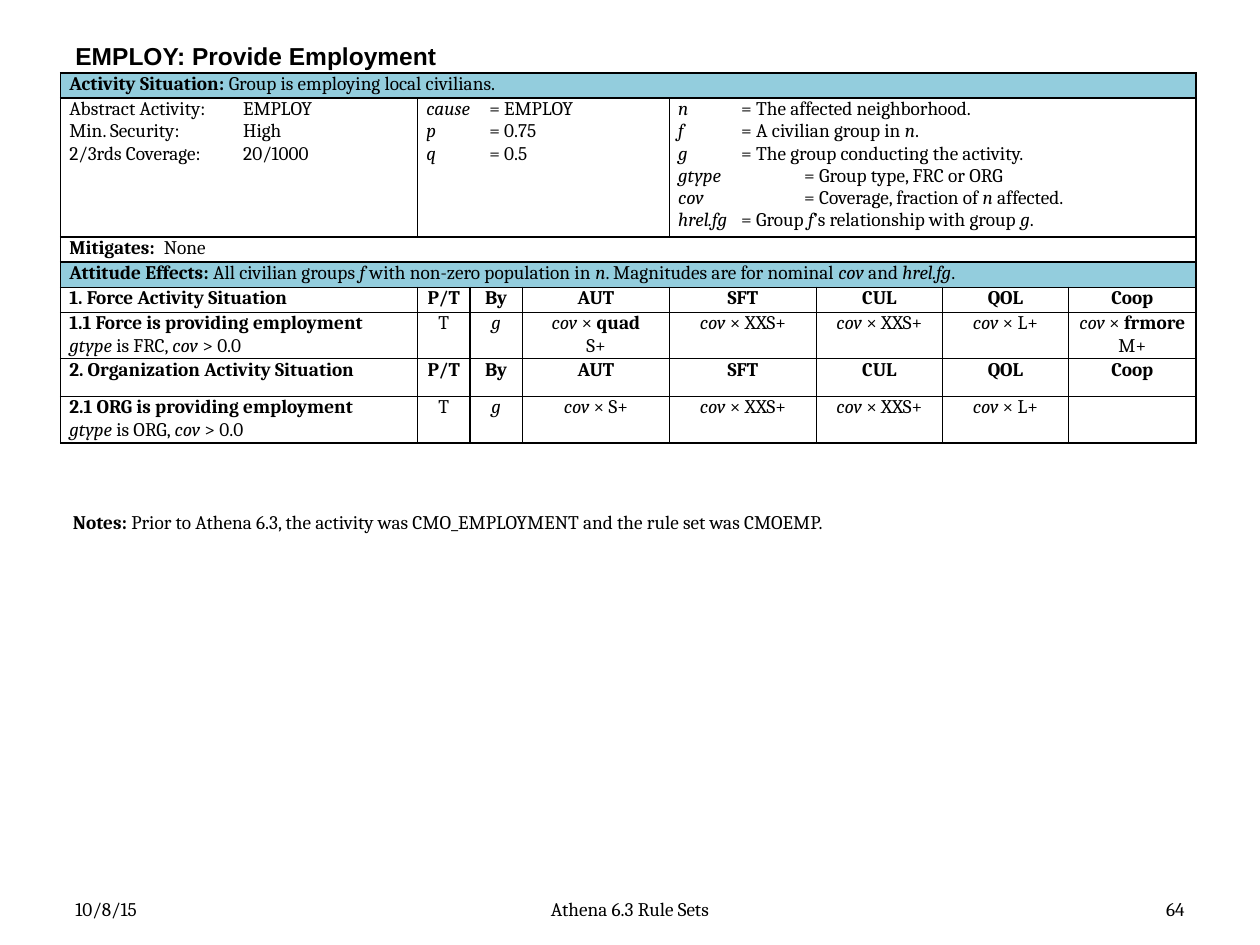
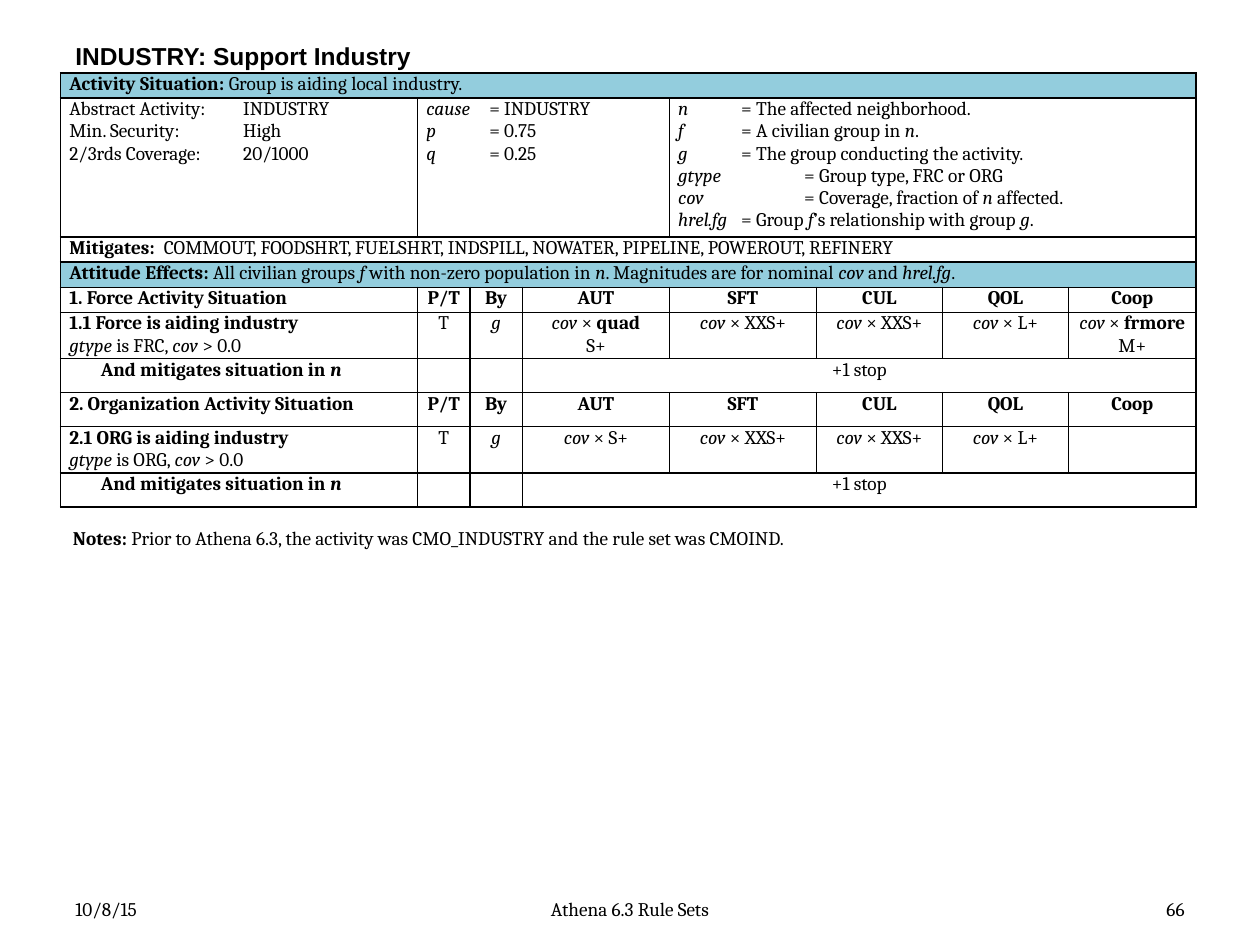
from itertools import accumulate, groupby

from lxml import etree
from pptx import Presentation
from pptx.dml.color import RGBColor
from pptx.enum.text import MSO_ANCHOR, PP_ALIGN
from pptx.oxml.ns import qn
from pptx.util import Pt

LEFT, CENTER, RIGHT = PP_ALIGN.LEFT, PP_ALIGN.CENTER, PP_ALIGN.RIGHT
TOP, MIDDLE = MSO_ANCHOR.TOP, MSO_ANCHOR.MIDDLE

COLORS = {"text": "000000", "line": "000000", "band": "93CDDD", "plain": "FFFFFF"}
COLUMN_WIDTHS = [204, 30, 30, 84, 84, 72, 72, 73]
COLUMN_HEADS = ["P/T", "By", "AUT", "SFT", "CUL", "QOL", "Coop"]
COMMON_EFFECTS = ["~cov~ × XXS+", "~cov~ × XXS+", "~cov~ × L+"]
FORCE_EFFECTS = ["T", "~g~", "~cov~ × *quad*\nS+", *COMMON_EFFECTS, "~cov~ × *frmore*\nM+"]
ORG_EFFECTS = ["T", "~g~", "~cov~ × S+", *COMMON_EFFECTS, ""]
SYMBOLS = (
    "~n~\t= The affected neighborhood.\n"
    "~f~\t= A civilian group in ~n~.\n"
    "~g~\t= The group conducting the activity.\n"
    "~gtype~\t= Group type, FRC or ORG\n"
    "~cov~\t= Coverage, fraction of ~n~ affected.\n"
    "~hrel.fg~\t= Group ~f~’s relationship with group ~g~."
)
SYMBOL_TABS = [36, 36, 36, 72, 72, 36]
ATTITUDE = (
    "*Attitude Effects:* All civilian groups ~f~ with non-zero population in ~n~. "
    "Magnitudes are for nominal ~cov~ and ~hrel.fg~."
)

RULE_SETS = [
    {
        "name": "EMPLOY", "title": "Provide Employment", "page": "64",
        "situation": "Group is employing local civilians.",
        "doing": "providing employment", "q": "0.5", "mitigates": "None",
        "mitigation_rows": False,
        "heights": [14.3, 76.6, 14.3, 14.6, 14.3, 25.4, 21.6, 25.4],
        "notes": "Prior to Athena 6.3, the activity was CMO_EMPLOYMENT "
                 "and the rule set was CMOEMP.",
        "notes_top": 288,
    },
    {
        "name": "INDUSTRY", "title": "Support Industry", "page": "66",
        "situation": "Group is aiding local industry.",
        "doing": "aiding industry", "q": "0.25",
        "mitigates": "COMMOUT, FOODSHRT, FUELSHRT, INDSPILL, NOWATER, "
                     "PIPELINE, POWEROUT, REFINERY",
        "mitigation_rows": True,
        "heights": [14.3, 76.6, 14.3, 14.6, 14.3, 25.4, 19.4, 19.4, 25.4, 19.4],
        "notes": "Prior to Athena 6.3, the activity was CMO_INDUSTRY "
                 "and the rule set was CMOIND.",
        "notes_top": 297,
    },
]


def styled_runs(text):
    """Yield (text, bold, italic); * switches bold and ~ switches italic."""
    bold = italic = False
    for mark, characters in groupby(text, lambda c: c if c in "*~" else ""):
        if mark == "*":
            bold = not bold
        elif mark == "~":
            italic = not italic
        else:
            yield "".join(characters), bold, italic


class RuleSheet:
    def __init__(self, presentation):
        self.presentation = presentation
        self.slide = None
        self.table = None
        self.font = "Cambria"
        self.title_font = "Arial"
        self.size = 11
        self.title_size = 14

    def new_slide(self):
        self.slide = self.presentation.slides.add_slide(self.presentation.slide_layouts[6])

    def add_lines(self, frame, text, align=LEFT, tabs=(), hanging=0, font=None, size=None):
        for index, line in enumerate(text.split("\n")):
            paragraph = frame.paragraphs[0] if index == 0 else frame.add_paragraph()
            paragraph.alignment = align
            properties = paragraph._p.get_or_add_pPr()
            if hanging:
                properties.set("marL", str(Pt(hanging)))
                properties.set("indent", str(-Pt(hanging)))
            if tabs:
                tab_list = etree.SubElement(properties, qn("a:tabLst"))
                etree.SubElement(tab_list, qn("a:tab"), pos=str(Pt(tabs[index])), algn="l")
            for content, bold, italic in styled_runs(line):
                run = paragraph.add_run()
                run.text = content
                run.font.name = font or self.font
                run.font.size = Pt(size or self.size)
                run.font.bold, run.font.italic = bold, italic
                run.font.color.rgb = RGBColor.from_string(COLORS["text"])

    def text(self, left, top, width, height, text, anchor=MIDDLE, **style):
        frame = self.slide.shapes.add_textbox(Pt(left), Pt(top), Pt(width), Pt(height)).text_frame
        frame.word_wrap = True
        frame.vertical_anchor = anchor
        self.add_lines(frame, text, **style)

    def title(self, text):
        self.text(36, 21.6, 648, 20, f"*{text}*", font=self.title_font, size=self.title_size)

    def footer(self, page):
        self.text(36, 509.8, 168, 19.4, "10/8/15")
        self.text(246, 509.8, 228, 19.4, "Athena 6.3 Rule Sets", align=CENTER)
        self.text(516, 509.8, 168, 19.4, page, align=RIGHT)

    def new_table(self, heights):
        frame = self.slide.shapes.add_table(
            len(heights), len(COLUMN_WIDTHS), Pt(34.6), Pt(41.8),
            Pt(sum(COLUMN_WIDTHS)), Pt(sum(heights)))
        self.table = frame.table
        self.table.first_row = self.table.horz_banding = False
        for column, width in zip(self.table.columns, COLUMN_WIDTHS):
            column.width = Pt(width)
        for row, height in zip(self.table.rows, heights):
            row.height = Pt(height)
        for cell in self.table.iter_cells():
            self.prepare_cell(cell)

    def prepare_cell(self, cell):
        cell.margin_left = cell.margin_right = Pt(5)
        cell.margin_top = cell.margin_bottom = 0
        properties = cell._tc.get_or_add_tcPr()
        for side in ("a:lnL", "a:lnR", "a:lnT", "a:lnB"):
            line = etree.SubElement(properties, qn(side), w=str(Pt(1)))
            fill = etree.SubElement(line, qn("a:solidFill"))
            etree.SubElement(fill, qn("a:srgbClr"), val=COLORS["line"])
        self.fill_cell(cell, "plain")
        # An empty cell still takes the height of its end-of-paragraph size.
        end = etree.SubElement(cell.text_frame.paragraphs[0]._p, qn("a:endParaRPr"))
        end.set("sz", str(self.size * 100))

    def fill_cell(self, cell, color):
        cell.fill.solid()
        cell.fill.fore_color.rgb = RGBColor.from_string(COLORS[color])

    def cells(self, row, parts):
        """Fill a row from (text, span, style) parts, left to right."""
        spans = [span for _, span, _ in parts]
        for column, (text, span, style) in zip(accumulate(spans, initial=0), parts):
            cell = self.table.cell(row, column)
            if span > 1:
                cell.merge(self.table.cell(row, column + span - 1))
            self.add_lines(cell.text_frame, text, **style)

    def full_row(self, row, text, color="plain", **style):
        self.cells(row, [(text, len(COLUMN_WIDTHS), style)])
        self.fill_cell(self.table.cell(row, 0), color)

    def effect_row(self, row, label, effects):
        self.cells(row, [(label, 1, {})] + [(effect, 1, {"align": CENTER}) for effect in effects])

    def mitigation_row(self, row):
        self.cells(row, [("*\tAnd mitigates situation in ~n~*", 1, {"tabs": [18]}),
                         ("", 1, {}), ("", 1, {}), ("+1 stop", 5, {"align": CENTER})])

    def rule_table(self, rules):
        name = rules["name"]
        self.new_table(rules["heights"])
        self.full_row(0, f"*Activity Situation:* {rules['situation']}", "band")
        activity = f"Abstract Activity:\t{name}\nMin. Security:\tHigh\n2/3rds Coverage:\t20/1000"
        cause = f"~cause~\t= {name}\n~p~\t= 0.75\n~q~\t= {rules['q']}"
        self.cells(1, [(activity, 1, {"tabs": [99.36] * 3}),
                       (cause, 3, {"tabs": [36] * 3}),
                       (SYMBOLS, 4, {"tabs": SYMBOL_TABS})])
        self.full_row(2, f"*Mitigates:*\t{rules['mitigates']}", hanging=54)
        self.full_row(3, ATTITUDE, "band")
        row = 4
        sections = [("Force", "Force", "FRC", FORCE_EFFECTS),
                    ("Organization", "ORG", "ORG", ORG_EFFECTS)]
        for number, (heading, actor, group_type, effects) in enumerate(sections, 1):
            self.effect_row(row, f"*{number}. {heading} Activity Situation*",
                            [f"*{head}*" for head in COLUMN_HEADS])
            self.effect_row(row + 1, f"*{number}.1 {actor} is {rules['doing']}*\n"
                            f"~gtype~ is {group_type}, ~cov~ > 0.0", effects)
            row += 2
            if rules["mitigation_rows"]:
                self.mitigation_row(row)
                row += 1

    def notes(self, top, text):
        self.text(34.6, top, 654, 21, f"*Notes:* {text}", anchor=TOP)


def main():
    presentation = Presentation()
    presentation.slide_width, presentation.slide_height = Pt(720), Pt(540)
    sheet = RuleSheet(presentation)
    for rules in RULE_SETS:
        sheet.new_slide()
        sheet.title(f"{rules['name']}: {rules['title']}")
        sheet.footer(rules["page"])
        sheet.rule_table(rules)
        sheet.notes(rules["notes_top"], rules["notes"])
    presentation.save("out.pptx")


if __name__ == "__main__":
    main()
